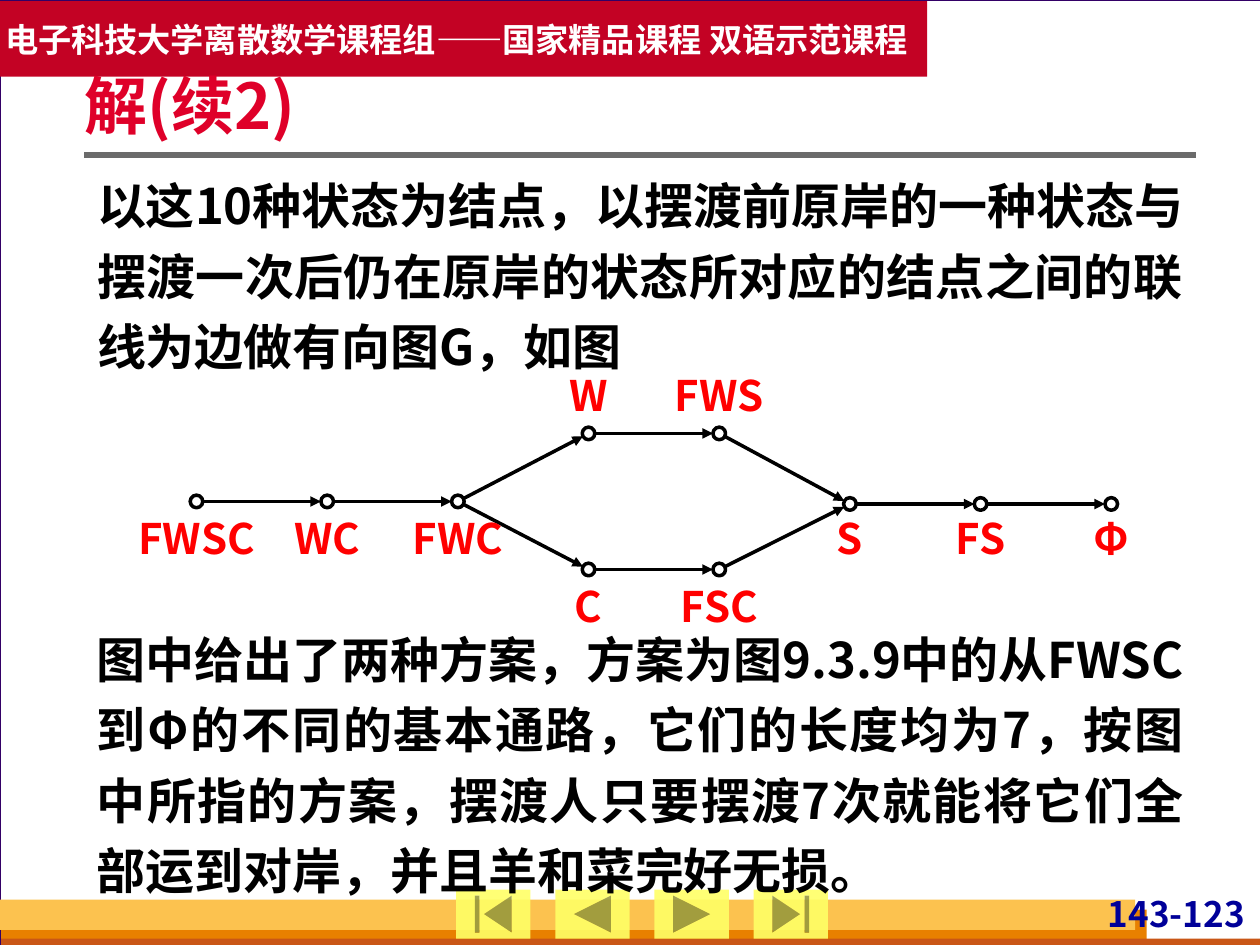
from dataclasses import dataclass
from math import hypot

from lxml import etree
from pptx import Presentation
from pptx import util as u
from pptx.dml.color import RGBColor
from pptx.enum import shapes, text
from pptx.oxml.ns import qn

COLUMNS, ROWS = 100, 75  # square grid cells over the slide
CELL = u.Inches(0.1)
FONT = "Noto Sans CJK SC"
KIND = shapes.MSO_SHAPE
ALIGN = text.PP_ALIGN

COLUMN_START, COLUMN_END, LAST_COLUMN = 15.6, 88.2, 7
NODE_SIZE = 1.0
LABEL_WIDTH, LABEL_HEIGHT = 10.5, 4.8


@dataclass(frozen=True)
class Box:
    left: float
    top: float
    width: float
    height: float


@dataclass(frozen=True)
class Level:
    node: float
    label: float


@dataclass(frozen=True)
class State:
    name: str
    column: int
    level: Level

    @property
    def centre(self) -> tuple[float, float]:
        pitch = (COLUMN_END - COLUMN_START) / LAST_COLUMN
        return COLUMN_START + pitch * self.column, self.level.node


@dataclass(frozen=True)
class Style:
    size: float
    colour: str
    align: ALIGN = ALIGN.LEFT
    spacing: float = 1.0


UPPER, LOWER = Level(34.4, 29.3), Level(45.2, 46.1)
LEFT, RIGHT = Level(39.8, 40.7), Level(40.0, 40.7)
STATES = [
    State("FWSC", 0, LEFT), State("WC", 1, LEFT), State("FWC", 2, LEFT),
    State("W", 3, UPPER), State("FWS", 4, UPPER),
    State("C", 3, LOWER), State("FSC", 4, LOWER),
    State("S", 5, RIGHT), State("FS", 6, RIGHT), State("Φ", 7, RIGHT),
]
ROUTES = [
    ["FWSC", "WC", "FWC", "W", "FWS", "S", "FS", "Φ"],
    ["FWC", "C", "FSC", "S"],
]
BANDS = [
    (Box(0, 0, 100.1, 75), "FFFFFF", "330066"),
    (Box(0.1, 72.2, 90.9, 2.8), "E88000", None),
    (Box(0.1, 74.5, 100, 0.8), "C95616", None),
    (Box(0, 71.4, 90.1, 2.4), "FCC24F", None),
]
BUTTONS = [
    KIND.ACTION_BUTTON_BEGINNING, KIND.ACTION_BUTTON_BACK_OR_PREVIOUS,
    KIND.ACTION_BUTTON_FORWARD_OR_NEXT, KIND.ACTION_BUTTON_END,
]
BUTTON_START, BUTTON_PITCH = 36.2, 7.87

HEADER = Style(19, "FFFFFF")
PAGE = Style(20, "000099", ALIGN.RIGHT)
TITLE = Style(36, "DF0029", spacing=0.9)
PROSE = Style(28, "000000", ALIGN.JUSTIFY, 1.2)
LABEL = Style(24, "FF0000", ALIGN.CENTER)
PROSE_INSETS = (1, 0.5, 1, 0.5)


def cells(count: float) -> int:
    return round(count * CELL)


def rgb(colour: str) -> RGBColor:
    return RGBColor.from_string(colour)


def extent(box: Box) -> list[int]:
    return [cells(n) for n in (box.left, box.top, box.width, box.height)]


def add_figure(slide, kind, box: Box, fill: str, line: str | None = None, weight: float = 0.75):
    figure = slide.shapes.add_shape(kind, *extent(box))
    figure.shadow.inherit = False
    figure.fill.solid()
    figure.fill.fore_color.rgb = rgb(fill)
    if line:
        figure.line.color.rgb = rgb(line)
        figure.line.width = u.Pt(weight)
    else:
        figure.line.fill.background()
    return figure


def write(holder, words: str, style: Style, insets=(0, 0, 0, 0),
          anchor=text.MSO_ANCHOR.TOP, wrap: bool = True) -> None:
    frame = holder.text_frame
    sides = ("margin_left", "margin_top", "margin_right", "margin_bottom")
    settings = dict(zip(sides, map(cells, insets)))
    settings |= {"word_wrap": wrap, "vertical_anchor": anchor,
                 "auto_size": text.MSO_AUTO_SIZE.NONE}
    for name, value in settings.items():
        setattr(frame, name, value)
    paragraph = frame.paragraphs[0]
    properties = paragraph._p.get_or_add_pPr()
    properties.set("marL", "0")
    properties.set("indent", "0")
    etree.SubElement(properties, qn("a:buNone"))
    layout = {"alignment": style.align, "line_spacing": style.spacing, "space_before": u.Pt(0)}
    for name, value in layout.items():
        setattr(paragraph, name, value)
    run = paragraph.add_run()
    run.text = words
    for name, value in {"size": u.Pt(style.size), "bold": True, "name": FONT}.items():
        setattr(run.font, name, value)
    run.font.color.rgb = rgb(style.colour)
    etree.SubElement(run._r.get_or_add_rPr(), qn("a:ea"), typeface=FONT)


def add_text(slide, box: Box, words: str, style: Style, insets=(0, 0, 0, 0)) -> None:
    write(slide.shapes.add_textbox(*extent(box)), words, style, insets)


def fill_placeholder(slide, holder, box: Box, words: str, style: Style, **options) -> None:
    """Places the holder in front of everything drawn so far."""
    holder.left, holder.top, holder.width, holder.height = extent(box)
    write(holder, words, style, **options)
    slide.shapes._spTree.append(holder._element)


def add_line(slide, start, end, colour: str, weight: float, arrow: bool = False) -> None:
    ends = [cells(n) for n in (*start, *end)]
    rule = slide.shapes.add_connector(shapes.MSO_CONNECTOR.STRAIGHT, *ends)
    rule.line.color.rgb = rgb(colour)
    rule.line.width = u.Pt(weight)
    if arrow:
        etree.SubElement(rule.line._get_or_add_ln(), qn("a:tailEnd"), type="triangle")
    etree.SubElement(rule._element.spPr, qn("a:effectLst"))


def add_edge(slide, source: State, target: State) -> None:
    """Draws an arrow between the rims of two nodes."""
    (x1, y1), (x2, y2) = source.centre, target.centre
    share = NODE_SIZE / 2 / hypot(x2 - x1, y2 - y1)
    dx, dy = (x2 - x1) * share, (y2 - y1) * share
    add_line(slide, (x1 + dx, y1 + dy), (x2 - dx, y2 - dy), "000000", 2, arrow=True)


def add_state(slide, state: State) -> None:
    x, y = state.centre
    node = Box(x - NODE_SIZE / 2, y - NODE_SIZE / 2, NODE_SIZE, NODE_SIZE)
    add_figure(slide, KIND.OVAL, node, "FFFFFF", "000000", 2)
    label = Box(x - LABEL_WIDTH / 2, state.level.label, LABEL_WIDTH, LABEL_HEIGHT)
    add_text(slide, label, state.name, LABEL)


def add_furniture(slide) -> None:
    for box, fill, line in BANDS:
        add_figure(slide, KIND.RECTANGLE, box, fill, line)
    add_text(slide, Box(87, 70.8, 12.2, 3.8), "143-123", PAGE, (0.4, 0, 0.4, 0))
    add_line(slide, (6.7, 12.3), (94.9, 12.3), "6B6B6B", 3)
    for place, kind in enumerate(BUTTONS):
        box = Box(BUTTON_START + place * BUTTON_PITCH, 70.6, 5.9, 3.9)
        button = add_figure(slide, kind, box, "FFFF66")
        colour = button._element.spPr.find(qn("a:solidFill"))[0]
        etree.SubElement(colour, qn("a:alpha"), val="90000")
    banner = add_figure(slide, KIND.RECTANGLE, Box(0, 0.1, 73.6, 6), "C30224")
    write(banner, "电子科技大学离散数学课程组——国家精品课程 双语示范课程", HEADER,
          (0.4, 0.5, 0.4, 0.5), text.MSO_ANCHOR.MIDDLE, wrap=False)


def main() -> None:
    deck = Presentation()
    deck.slide_width, deck.slide_height = cells(COLUMNS), cells(ROWS)
    slide = deck.slides.add_slide(deck.slide_layouts[1])
    slide.background.fill.solid()
    slide.background.fill.fore_color.rgb = rgb("D8DADA")
    add_furniture(slide)
    fill_placeholder(slide, slide.shapes.title, Box(6.7, 3.6, 88.2, 10.1), "解(续2)", TITLE,
                     insets=(0, 0.5, 1, 0.5), anchor=text.MSO_ANCHOR.MIDDLE)
    fill_placeholder(
        slide, slide.placeholders[1], Box(6.7, 12.5, 88.2, 17.8),
        "以这10种状态为结点，以摆渡前原岸的一种状态与摆渡一次后仍在原岸的状态"
        "所对应的结点之间的联线为边做有向图G，如图", PROSE, insets=PROSE_INSETS)
    by_name = {state.name: state for state in STATES}
    for route in ROUTES:
        for source, target in zip(route, route[1:]):
            add_edge(slide, by_name[source], by_name[target])
    for state in STATES:
        add_state(slide, state)
    add_text(
        slide, Box(6.7, 48.5, 88.2, 23.4),
        "图中给出了两种方案，方案为图9.3.9中的从FWSC到Φ的不同的基本通路，它们的长度均为7，"
        "按图中所指的方案，摆渡人只要摆渡7次就能将它们全部运到对岸，并且羊和菜完好无损。",
        PROSE, PROSE_INSETS)
    deck.save("out.pptx")


if __name__ == "__main__":
    main()
